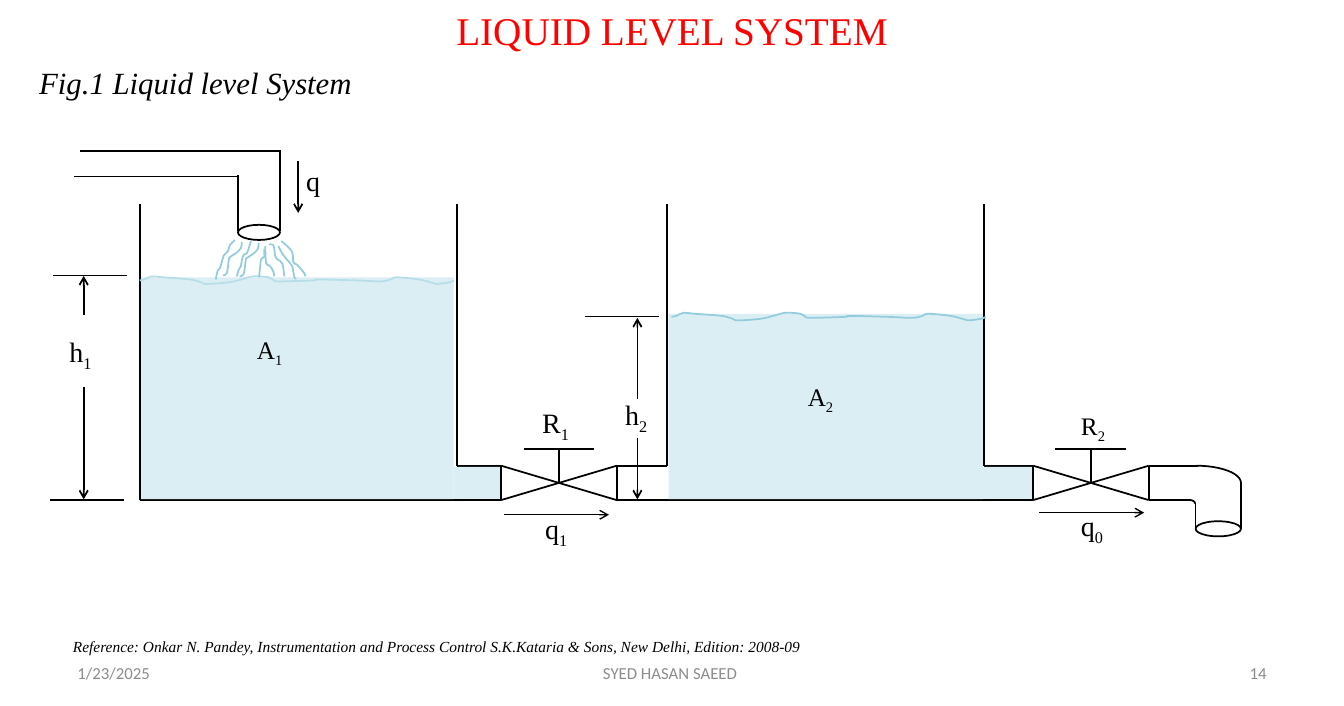
from lxml.etree import SubElement
from pptx import Presentation
from pptx.dml.color import RGBColor
from pptx.enum.shapes import MSO_CONNECTOR, MSO_SHAPE
from pptx.enum.text import MSO_ANCHOR, PP_ALIGN
from pptx.oxml.ns import qn
from pptx.util import Pt

SERIF = "Times New Roman"
WATER, FOAM, SPRAY = "DBEEF4", "B7DEE8", "93CDDD"
WAVE = [(0, 2.9), (3.6, 2.2), (8.6, 0), (16.6, 0.7), (36, 2.2), (43.9, 4.3),
        (47.5, 5.4), (63.4, 4.3), (72.7, 2.2), (81.4, 0), (92.2, 0.7), (95.8, 2.9),
        (100, 3.6), (123.8, 2.9), (127.4, 2.2), (154.8, 2.9), (172, 3.6),
        (179.3, 2.2), (183.6, 0.7), (199.4, 2.2), (208, 4.3), (211.7, 5.4),
        (221, 4.3), (224.6, 2.9)]
CURL = [(19.4, 1.4), (18.7, 5.8), (15.1, 9.4), (10.8, 12.2), (10.1, 14.4),
        (8.6, 23.8), (5.8, 25.2)]
JETS = [
    CURL,
    [(x + 12, y + 0.7) for x, y in CURL],
    [(36, 4.3), (36.7, 16.6), (38.9, 18), (41.8, 22.3), (42.5, 25.9)],
    [(38.9, 2.9), (41.8, 3.6), (42.5, 5.8), (43.2, 11.5), (44.6, 13.7),
     (48.2, 16.6), (49.7, 25.9)],
    [(47.5, 0.7), (51.8, 4.3), (55.4, 8.6), (56.2, 15.8), (58.3, 17.3),
     (61.2, 20.2), (64.1, 23.8), (64.8, 25.9)],
    [(14.4, 0), (10.8, 3.6), (9.4, 7.9), (6.5, 10.8), (5.8, 13), (5, 15.8),
     (3.6, 20.2), (2.2, 21.6), (0.7, 28.1)],
    [(25.9, 0.7), (23, 9.4), (20.9, 10.1), (19.4, 14.4), (18.7, 18.7),
     (17.3, 20.9), (15.8, 25.9)],
    [(35.3, 6.5), (35.3, 12.2), (33.1, 13.7), (31.7, 26.6)],
    [(45.4, 4.3), (49, 10.8), (53.3, 15.8), (55.4, 18.7), (56.9, 26.6), (58.3, 27.4)],
]


def color(code):
    return RGBColor.from_string(code)


def write(frame, words, size=20, ink="000000", font=SERIF, italic=False,
          align=PP_ALIGN.LEFT, anchor=MSO_ANCHOR.TOP, sub="", inset=7.2):
    frame.word_wrap = True
    frame.margin_left = Pt(inset)
    frame.vertical_anchor = anchor
    para = frame.paragraphs[0]
    para.alignment = align
    for part in filter(None, (words, sub)):
        run = para.add_run()
        run.text = part
        run.font.size = Pt(size)
        run.font.name = font
        run.font.italic = italic
        run.font.color.rgb = color(ink)
    if sub:
        run.font._element.set("baseline", "-25000")


def label(slide, box, words, **style):
    frame = slide.shapes.add_textbox(*map(Pt, box)).text_frame
    write(frame, words, **style)


def stroke(shape, ink="000000", weight=1.25):
    shape.line.color.rgb = color(ink)
    shape.line.width = Pt(weight)


def line(slide, x1, y1, x2, y2, weight=1.25, arrow=False):
    link = slide.shapes.add_connector(MSO_CONNECTOR.STRAIGHT, *map(Pt, (x1, y1, x2, y2)))
    stroke(link, weight=weight)
    if arrow:
        SubElement(link.line._get_or_add_ln(), qn("a:tailEnd"), type="arrow")
    SubElement(link._element.spPr, qn("a:effectLst"))


def shape(slide, kind, box, fill=None):
    item = slide.shapes.add_shape(kind, *map(Pt, box))
    item.shadow.inherit = False
    if fill:
        item.fill.solid()
        item.fill.fore_color.rgb = color(fill)
        item.line.fill.background()
    else:
        item.fill.background()
        stroke(item)


def bend(item):
    route = next(item._element.iter(qn("a:path")))
    spots = [(int(p.get("x")), int(p.get("y"))) for p in route.iter(qn("a:pt"))]
    ends = [spots[0], *spots, spots[-1]]
    for old in route.findall(qn("a:lnTo")):
        route.remove(old)
    for a, b, c, d in zip(ends, ends[1:], ends[2:], ends[3:]):
        first = [q + (r - p) / 6 for p, q, r in zip(a, b, c)]
        second = [r - (s - q) / 6 for q, r, s in zip(b, c, d)]
        arc = SubElement(route, qn("a:cubicBezTo"))
        for x, y in (first, second, c):
            SubElement(arc, qn("a:pt"), x=str(round(x)), y=str(round(y)))


def curve(slide, x, y, points, ink):
    spots = [(Pt(x + dx), Pt(y + dy)) for dx, dy in points]
    pen = slide.shapes.build_freeform(*spots[0], scale=1.0)
    pen.add_line_segments(spots[1:], close=False)
    item = pen.convert_to_shape()
    bend(item)
    item.shadow.inherit = False
    item.fill.background()
    stroke(item, ink)


def tank(slide, box, level, wet, pipe, inlet, shift, foam):
    x, y, w, h = box
    right, base, neck = x + w, y + h, y + h - 24.5
    line(slide, x - inlet, base, right + pipe, base)
    line(slide, x, neck if inlet else base, x, y)
    if inlet:
        line(slide, x, neck, x - inlet, neck)
    line(slide, right, neck, right, y)
    line(slide, right, neck, right + pipe, neck)
    shape(slide, MSO_SHAPE.RECTANGLE, (x + 1, level, wet, base - level - 0.7), WATER)
    shape(slide, MSO_SHAPE.RECTANGLE,
          (x + 1 + wet, neck + 0.7, right + pipe - x - 1 - wet, 23), WATER)
    curve(slide, x + shift, level - 0.7, WAVE, foam)


def valve(slide, x, y, w=82.5, h=24.5):
    mid, top = x + w / 2, y - 12
    for side in (x, x + w):
        line(slide, side, y, side, y + h)
    line(slide, x, y, x + w, y + h)
    line(slide, x, y + h, x + w, y)
    line(slide, mid, top, mid, y + h / 2)
    line(slide, mid - 25.3, top, mid + 25.3, top)


def tap(slide, x, y):
    line(slide, x + 4, y + 1, x + 147, y + 1)
    line(slide, x + 147, y, x + 147, y + 58)
    line(slide, x, y + 19, x + 117, y + 19)
    line(slide, x + 117, y + 18, x + 117, y + 58)
    shape(slide, MSO_SHAPE.OVAL, (x + 117, y + 53.5, 30, 10.8))
    line(slide, x + 160, y + 8, x + 160, y + 45, arrow=True)
    label(slide, (x + 158.5, y + 6, 37.5, 31.5), "q")
    for jet in JETS:
        curve(slide, x + 100.4, y + 64.4, jet, SPRAY)


def spout(slide, x, y, h=24.5):
    line(slide, x, y, x + 35, y)
    line(slide, x, y + h, x + 30, y + h)
    shape(slide, MSO_SHAPE.ARC, (x + 2.5, y, 63.4, h))
    shape(slide, MSO_SHAPE.ARC, (x + 26, y + h, 7.2, 5))
    line(slide, x + 66, y + 12.3, x + 66, y + 45)
    line(slide, x + 33.5, y + 26.5, x + 33.5, y + 45)
    shape(slide, MSO_SHAPE.OVAL, (x + 33.5, y + 39.6, 32.4, 10.8))


def gauge(slide, x, top, base, gap, ticks):
    for y, left in ticks:
        line(slide, left, y, left + 52.6, y, weight=1)
    line(slide, x, gap[0], x, top, arrow=True)
    line(slide, x, gap[1], x, base, arrow=True)


def footer(slide, x, y):
    label(slide, (x - 3.2, y - 15.8, 870, 21),
          "Reference: Onkar N. Pandey, Instrumentation and Process Control "
          "S.K.Kataria & Sons, New Delhi, Edition: 2008-09", size=11, italic=True)
    for dx, w, words, align in ((0, 224, "1/23/2025", PP_ALIGN.LEFT),
                                (278.5, 304, "SYED HASAN SAEED", PP_ALIGN.CENTER),
                                (639.7, 224, "14", PP_ALIGN.RIGHT)):
        label(slide, (x + dx, y, w, 26.6), words, size=12, ink="8C8C8C",
              font="Calibri", align=align, anchor=MSO_ANCHOR.MIDDLE)


def main():
    deck = Presentation()
    deck.slide_width, deck.slide_height = Pt(960), Pt(504)
    slide = deck.slides.add_slide(deck.slide_layouts[5])
    title = slide.shapes.title
    title.left, title.top, title.width, title.height = map(Pt, (15, 6.5, 930, 30))
    write(title.text_frame, "LIQUID LEVEL SYSTEM", size=28, ink="FF0000",
          align=PP_ALIGN.CENTER, anchor=MSO_ANCHOR.MIDDLE)
    label(slide, (15, 42, 930, 430.5), "Fig.1 Liquid level System", size=22,
          italic=True, inset=13)
    tank(slide, (99.8, 146, 226.5, 211), 198, 223.2, 31.7, 0, 0, FOAM)
    tank(slide, (476.6, 146, 226.5, 211), 224, 224.5, 35, 36.5, 3, SPRAY)
    for x in (358, 738):
        valve(slide, x, 332.5)
    tap(slide, 53, 107)
    spout(slide, 820.5, 332.5)
    gauge(slide, 59.8, 197, 356.5, (224.6, 276.5), ((196.6, 38.2), (357, 36)))
    gauge(slide, 455.3, 227, 356.5, (284.5, 313), ((226, 418),))
    for x, y in ((360, 367.5), (742.3, 366)):
        line(slide, x, y, x + 75, y, weight=1, arrow=True)
    for x, y, w, words, sub, size in (
            (380.2, 286, 60, "R", "1", 20), (765, 289.5, 60, "R", "2", 18),
            (382.4, 361.5, 44.5, "q", "1", 20), (765, 359.7, 44.5, "q", "0", 20),
            (42.5, 235.5, 52.5, "h", "1", 20), (439.4, 280, 52.5, "h", "2", 20),
            (176.4, 235.2, 39.5, "A", "1", 18), (569.9, 268.5, 39.5, "A", "2", 18)):
        label(slide, (x, y, w, size * 1.6), words, sub=sub, size=size)
    footer(slide, 48.2, 467)
    deck.save("out.pptx")


if __name__ == "__main__":
    main()
